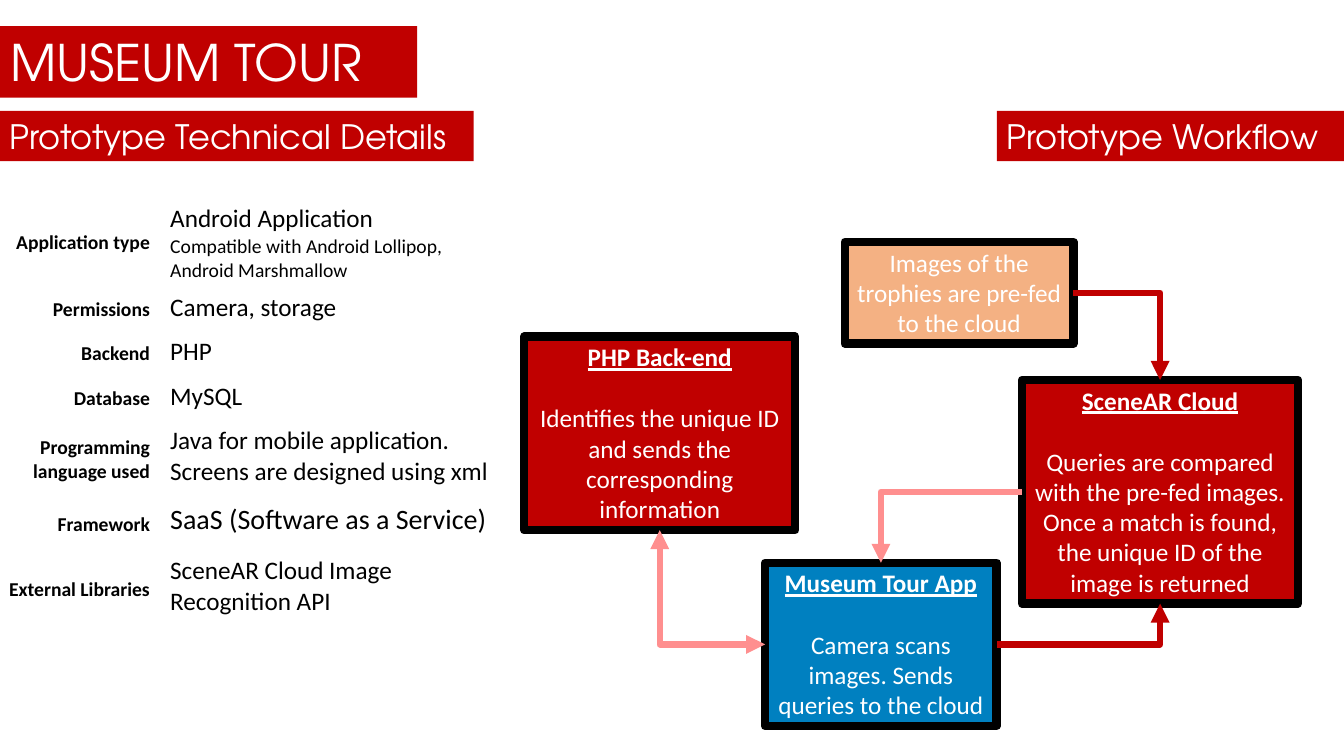
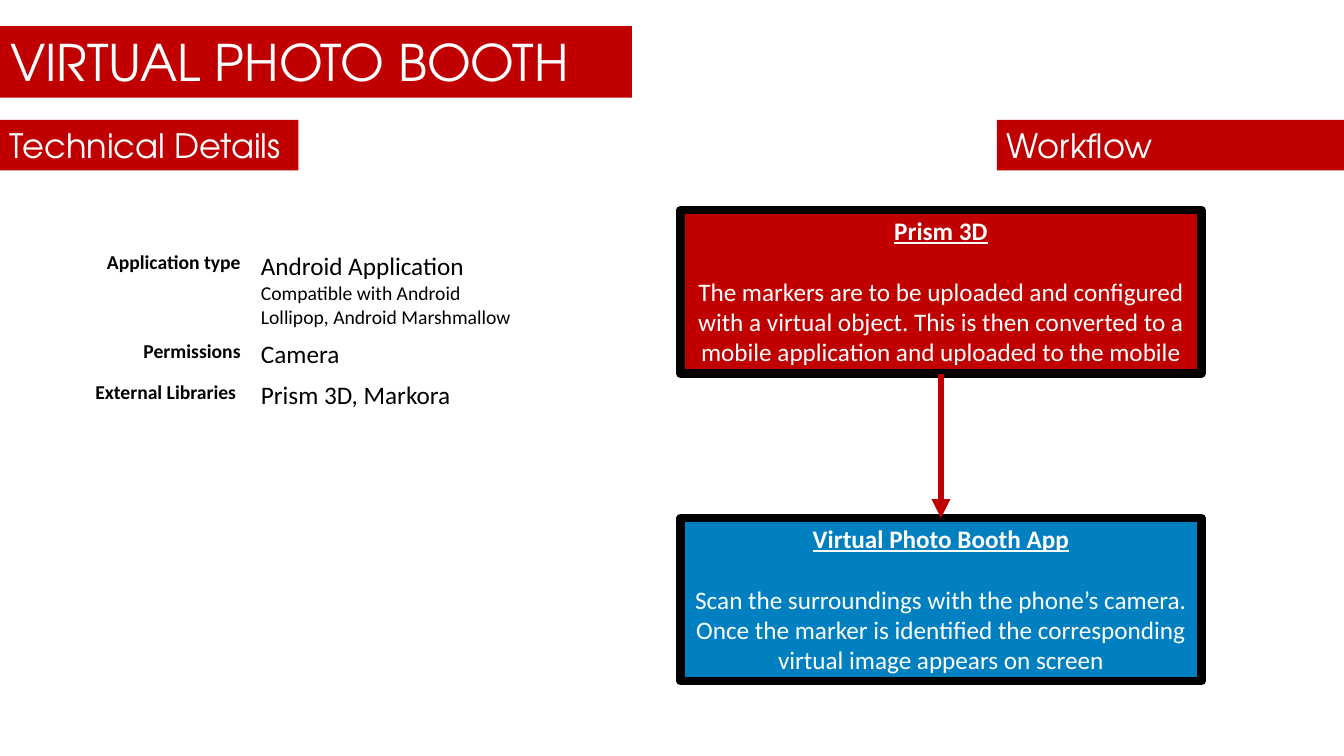
from lxml import etree
from pptx import Presentation
from pptx.dml.color import RGBColor
from pptx.enum.shapes import MSO_CONNECTOR, MSO_SHAPE
from pptx.enum.text import MSO_ANCHOR, MSO_AUTO_SIZE, PP_ALIGN
from pptx.oxml.ns import qn
from pptx.util import Pt

RECTANGLE = MSO_SHAPE.RECTANGLE
STRAIGHT, ELBOW = MSO_CONNECTOR.STRAIGHT, MSO_CONNECTOR.ELBOW
TOP, MIDDLE = MSO_ANCHOR.TOP, MSO_ANCHOR.MIDDLE
LEFT, CENTER, RIGHT = PP_ALIGN.LEFT, PP_ALIGN.CENTER, PP_ALIGN.RIGHT
NO_FIT = MSO_AUTO_SIZE.NONE
SIDE_TOP, SIDE_LEFT, SIDE_BOTTOM, SIDE_RIGHT = range(4)

RED, BLUE, ORANGE, PINK = "C00000", "0080C0", "F4B183", "FF8F8F"
BLACK, WHITE = "000000", "FFFFFF"
HEADING_FONT, BODY_FONT = "TeX Gyre Adventor", "Calibri"
TITLE_ONLY = 5
RIGHT_BAND = 712, 248


def color(value):
    """Return the colour for a hex string."""
    return RGBColor.from_string(value)


def points(*lengths):
    """Return the lengths as point values."""
    return [Pt(length) for length in lengths]


class Slides:
    """Holds the deck, its style and the current slide."""

    def __init__(self):
        """Start an empty widescreen deck."""
        self.deck = Presentation()
        self.deck.slide_width, self.deck.slide_height = points(960, 540)
        self.page = None

    def add_page(self, title, width):
        """Add a slide with a red title band."""
        self.page = self.deck.slides.add_slide(self.deck.slide_layouts[TITLE_ONLY])
        box = self.page.shapes.title
        box.left, box.top, box.width, box.height = points(0, 18.7, width, 51)
        self.fill_band(box, title, 36)

    def add_band(self, text, left, top, width):
        """Add a red subtitle band."""
        box = self.add_rectangle(left, top, width, 36)
        box.line.fill.background()
        self.fill_band(box, text, 24)

    def add_rectangle(self, *place):
        """Add a plain rectangle without shadow."""
        box = self.page.shapes.add_shape(RECTANGLE, *points(*place))
        box.shadow.inherit = False
        return box

    def fill_band(self, box, text, size):
        """Give a band its fill and heading text."""
        self.fill_box(box, RED)
        self.add_text(box.text_frame.paragraphs[0], text, LEFT, WHITE,
                      size=Pt(size), name=HEADING_FONT)

    def fill_box(self, box, fill):
        """Set the fill and the text frame of a box."""
        box.fill.solid()
        box.fill.fore_color.rgb = color(fill)
        settings = {"word_wrap": True, "auto_size": NO_FIT, "vertical_anchor": TOP}
        for name, value in settings.items():
            setattr(box.text_frame, name, value)

    def add_text(self, para, text, align, ink, **formats):
        """Add one formatted span to a paragraph."""
        para.alignment = align
        span = para.add_run()
        span.text = text
        span.font.color.rgb = color(ink)
        for name, value in {"name": BODY_FONT, "bold": False, **formats}.items():
            setattr(span.font, name, value)

    def add_step(self, place, fill, text, heading=None):
        """Add a workflow box with an optional underlined heading."""
        box = self.add_rectangle(*place)
        self.fill_box(box, fill)
        box.line.color.rgb = color(BLACK)
        box.line.width = Pt(6)
        para = box.text_frame.paragraphs[0]
        if heading:
            self.add_text(para, heading, CENTER, WHITE, size=Pt(18), bold=True, underline=True)
            para = box.text_frame.add_paragraph()
            para.space_before = Pt(22)
        self.add_text(para, text, CENTER, WHITE, size=Pt(18))
        return box

    def add_arrow(self, start, start_side, end, end_side, ink=RED, kind=ELBOW, ends=("tailEnd",)):
        """Join two boxes with a straight or one-bend arrow."""
        arrow = self.page.shapes.add_connector(kind, *points(0, 0, 0, 0))
        arrow.begin_connect(start, start_side)
        arrow.end_connect(end, end_side)
        arrow.line.color.rgb = color(ink)
        arrow.line.width = Pt(4.5)
        properties = arrow.element.spPr
        if kind == ELBOW:
            properties.find(qn("a:prstGeom")).set("prst", "bentConnector2")
        for name in ends:
            etree.SubElement(properties.find(qn("a:ln")), qn("a:" + name), type="triangle")
        etree.SubElement(properties, qn("a:effectLst"))

    def add_details(self, left, top, widths, rows, anchor):
        """Add a table of labels and lines of (text, size)."""
        heights = [row[0] for row in rows]
        table = self.page.shapes.add_table(
            len(rows), 2, *points(left, top, sum(widths), sum(heights))).table
        table.first_row = table.horz_banding = False
        for column, width in zip(table.columns, widths):
            column.width = Pt(width)
        for row, (height, label, *lines) in zip(table.rows, rows):
            row.height = Pt(height)
            label_cell, value_cell = row.cells
            for cell in (label_cell, value_cell):
                cell.fill.background()
            label_cell.vertical_anchor = anchor
            self.add_text(label_cell.text_frame.paragraphs[0], label, RIGHT, BLACK,
                          size=Pt(14), bold=True)
            frame = value_cell.text_frame
            for number, (text, size) in enumerate(lines):
                para = frame.add_paragraph() if number else frame.paragraphs[0]
                self.add_text(para, text, LEFT, BLACK, size=Pt(size))


def build_museum_tour(slides):
    """Build the museum tour slide."""
    slides.add_page("MUSEUM TOUR", 298)
    slides.add_band("Prototype Technical Details", 0, 79.2, 338.4)
    slides.add_band("Prototype Workflow", RIGHT_BAND[0], 79.2, RIGHT_BAND[1])
    slides.add_details(-3.6, 142, (118, 243.4), [
        (63.4, "Application type", ("Android Application", 18),
         ("Compatible with Android Lollipop, Android Marshmallow", 14)),
        (31.7, "Permissions", ("Camera, storage", 18)),
        (31.7, "Backend", ("PHP", 18)),
        (31.7, "Database", ("MySQL", 18)),
        (55.4, "Programming language used", ("Java for mobile application.", 18),
         ("Screens are designed using xml", 18)),
        (37.4, "Framework", ("SaaS (Software as a Service)", 20)),
        (55.4, "External Libraries", ("SceneAR Cloud Image Recognition API", 18)),
    ], MIDDLE)
    app = slides.add_step((546.5, 402, 165.5, 116.6), BLUE,
                          "Camera scans images. Sends queries to the cloud", "Museum Tour App")
    backend = slides.add_step((374.4, 240.5, 193.7, 138.2), RED,
                              "Identifies the unique ID and sends the corresponding information",
                              "PHP Back-end")
    cloud = slides.add_step((730, 271.4, 197.3, 159.8), RED,
                            "Queries are compared with the pre-fed images. Once a match is found, "
                            "the unique ID of the image is returned", "SceneAR Cloud")
    trophies = slides.add_step((603.4, 172.8, 163.4, 72.7), ORANGE,
                               "Images of the trophies are pre-fed to the cloud")
    slides.add_arrow(trophies, SIDE_RIGHT, cloud, SIDE_TOP)
    slides.add_arrow(app, SIDE_RIGHT, cloud, SIDE_BOTTOM)
    slides.add_arrow(cloud, SIDE_LEFT, app, SIDE_TOP, PINK)
    slides.add_arrow(app, SIDE_LEFT, backend, SIDE_BOTTOM, PINK, ends=("headEnd", "tailEnd"))


def build_photo_booth(slides):
    """Build the virtual photo booth slide."""
    slides.add_page("VIRTUAL PHOTO BOOTH", 451.4)
    slides.add_band("Technical Details", 0, 85.7, 213.2)
    slides.add_band("Workflow", RIGHT_BAND[0], 85.7, RIGHT_BAND[1])
    slides.add_details(44.6, 175.7, (134.6, 203.8), [
        (63.4, "Application type", ("Android Application", 18),
         ("Compatible with Android Lollipop, Android Marshmallow", 14)),
        (29, "Permissions", ("Camera", 18)),
        (48, "External Libraries ", ("Prism 3D, Markora", 18)),
    ], TOP)
    app = slides.add_step((486, 370, 372.2, 116.6), BLUE,
                          "Scan the surroundings with the phone’s camera. Once the marker is "
                          "identified the corresponding virtual image appears on screen",
                          "Virtual Photo Booth App")
    engine = slides.add_step((486, 150.2, 372.2, 116.6), RED,
                             "The markers are to be uploaded and configured with a virtual object. "
                             "This is then converted to a mobile application and uploaded to the "
                             "mobile", "Prism 3D")
    slides.add_arrow(engine, SIDE_BOTTOM, app, SIDE_TOP, kind=STRAIGHT)


def main():
    """Build and save the deck."""
    slides = Slides()
    build_museum_tour(slides)
    build_photo_booth(slides)
    slides.deck.save("out.pptx")


if __name__ == "__main__":
    main()
